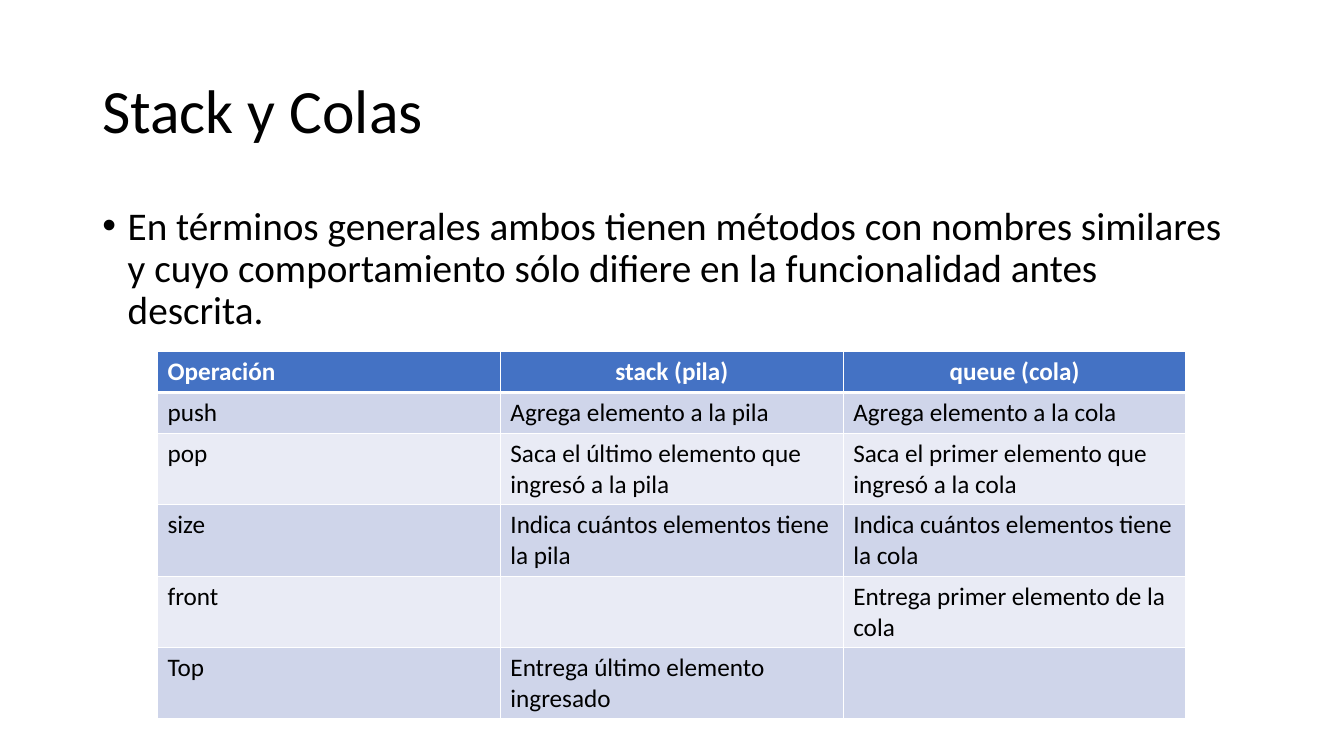
from dataclasses import dataclass

from lxml.etree import SubElement
from pptx import Presentation
from pptx.dml.color import RGBColor
from pptx.enum.text import MSO_ANCHOR as Anchor, PP_ALIGN as Align
from pptx.oxml.ns import qn
from pptx.slide import Slide
from pptx.table import _Cell as Cell
from pptx.text.text import _Paragraph as Paragraph
from pptx.util import Cm, Pt

FONT = "Calibri"
BLACK = RGBColor(0x00, 0x00, 0x00)
WHITE = RGBColor(0xFF, 0xFF, 0xFF)
HEADER_BLUE = RGBColor(0x44, 0x72, 0xC4)
BAND_DARK = RGBColor(0xCF, 0xD5, 0xEA)
BAND_LIGHT = RGBColor(0xE9, 0xEB, 0xF5)

MARGIN_LEFT, CONTENT_WIDTH = Cm(2.33), Cm(29.21)
COLUMN_WIDTH = Cm(8.64)
ONE_LINE, TWO_LINES = Cm(1.03), Cm(1.8)
THIN, THICK = Pt(1), Pt(3)


@dataclass(frozen=True)
class Operation:
    """One table row: a method and what it does in each structure."""
    name: str
    stack: str
    queue: str
    height: int = TWO_LINES


HEADER = Operation("Operación", "stack (pila)", "queue (cola)", ONE_LINE)
OPERATIONS = [
    Operation("push", "Agrega elemento a la pila", "Agrega elemento a la cola", ONE_LINE),
    Operation("pop", "Saca el último elemento que ingresó a la pila",
              "Saca el primer elemento que ingresó a la cola"),
    Operation("size", "Indica cuántos elementos tiene la pila",
              "Indica cuántos elementos tiene la cola"),
    Operation("front", "", "Entrega primer elemento de la cola"),
    Operation("Top", "Entrega último elemento ingresado", ""),
]


def add_run(paragraph: Paragraph, text: str, size: int,
            color: RGBColor = BLACK, bold: bool = False) -> None:
    """Append one formatted run."""
    run = paragraph.add_run()
    run.text = text
    run.font.name, run.font.size, run.font.bold = FONT, Pt(size), bold
    run.font.color.rgb = color


def add_text(slide: Slide, top: int, height: int, text: str, size: int,
             anchor: Anchor) -> Paragraph:
    """Add a full-width text block and return its paragraph."""
    frame = slide.shapes.add_textbox(MARGIN_LEFT, top, CONTENT_WIDTH, height).text_frame
    frame.word_wrap = True
    frame.vertical_anchor = anchor
    paragraph = frame.paragraphs[0]
    paragraph.line_spacing = 0.9
    add_run(paragraph, text, size)
    return paragraph


def add_bullet(paragraph: Paragraph) -> None:
    """Give a paragraph a round bullet with a hanging indent."""
    properties = paragraph._p.get_or_add_pPr()
    indent = Cm(0.64)
    properties.set("marL", str(indent))
    properties.set("indent", str(-indent))
    SubElement(properties, qn("a:buFont"), typeface="Arial")
    SubElement(properties, qn("a:buChar"), char="•")


def add_borders(cell: Cell, top: int, bottom: int) -> None:
    """Draw white borders; call before filling, as the schema orders them."""
    properties = cell._tc.get_or_add_tcPr()
    for side, width in (("L", THIN), ("R", THIN), ("T", top), ("B", bottom)):
        line = SubElement(properties, qn(f"a:ln{side}"), w=str(width))
        fill = SubElement(line, qn("a:solidFill"))
        SubElement(fill, qn("a:srgbClr"), val=str(WHITE))


def add_operations(slide: Slide, left: int, top: int) -> None:
    """Add the table comparing stack and queue methods."""
    rows = [HEADER, *OPERATIONS]
    height = sum(row.height for row in rows)
    table = slide.shapes.add_table(len(rows), 3, left, top, 3 * COLUMN_WIDTH, height).table
    for column in table.columns:
        column.width = COLUMN_WIDTH
    for row_index, row in enumerate(rows):
        table.rows[row_index].height = row.height
        is_header = row_index == 0
        band = BAND_DARK if row_index % 2 else BAND_LIGHT
        for column_index, text in enumerate((row.name, row.stack, row.queue)):
            cell = table.cell(row_index, column_index)
            add_borders(cell, top=THICK if row_index == 1 else THIN,
                        bottom=THICK if is_header else THIN)
            cell.fill.solid()
            cell.fill.fore_color.rgb = HEADER_BLUE if is_header else band
            paragraph = cell.text_frame.paragraphs[0]
            if is_header and column_index:
                paragraph.alignment = Align.CENTER
            if text:
                add_run(paragraph, text, 18, WHITE if is_header else BLACK, is_header)


def main() -> None:
    """Build and save the slide."""
    presentation = Presentation()
    presentation.slide_width, presentation.slide_height = Cm(33.87), Cm(19.05)
    slide = presentation.slides.add_slide(presentation.slide_layouts[6])
    add_text(slide, Cm(1.01), Cm(3.68), "Stack y Colas", 44, Anchor.MIDDLE)
    summary = add_text(
        slide, Cm(5.07), Cm(12.09),
        "En términos generales ambos tienen métodos con nombres similares y cuyo "
        "comportamiento sólo difiere en la funcionalidad antes descrita.",
        28, Anchor.TOP)
    summary.space_before = Pt(10)
    add_bullet(summary)
    add_operations(slide, Cm(3.97), Cm(8.86))
    presentation.save("out.pptx")


main()
